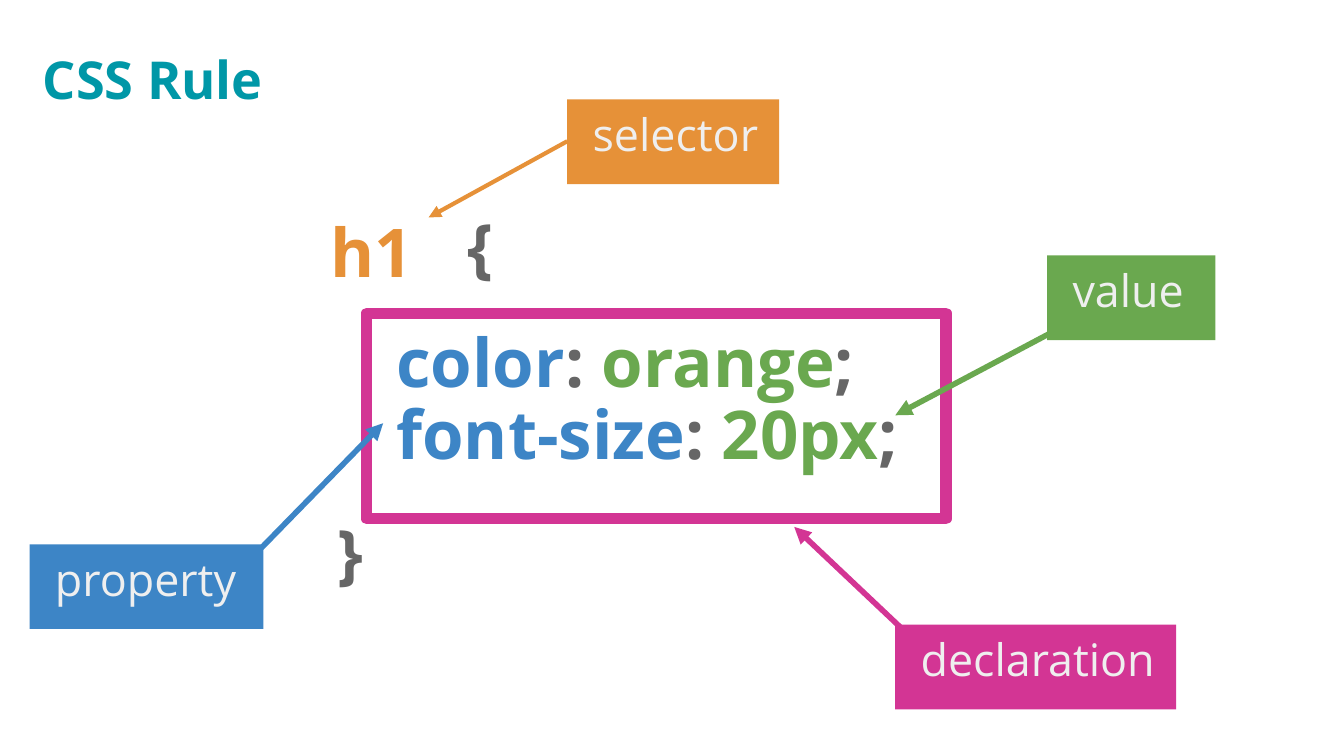
from dataclasses import dataclass

from lxml.etree import SubElement
from pptx import Presentation
from pptx.dml.color import RGBColor
from pptx.enum.shapes import MSO_CONNECTOR, MSO_SHAPE
from pptx.enum.text import MSO_ANCHOR, PP_ALIGN
from pptx.oxml.ns import qn
from pptx.util import Cm, Pt


@dataclass(frozen=True)
class Theme:
    font: str = "Open Sans"
    title: str = "0097A7"
    selector: str = "E69138"
    declaration: str = "D33594"
    property: str = "3D85C6"
    value: str = "6AA84F"
    punctuation: str = "666666"
    label_text: str = "EFEFEF"
    title_size: int = 28
    code_size: int = 36
    brace_size: int = 35
    label_size: int = 24
    line_spacing: float = 0.9
    inset: float = 0.25
    label_indent: float = 0.48


THEME = Theme()


def color(name):
    return RGBColor.from_string(name)


def set_frame(shape, left=THEME.inset, anchor=MSO_ANCHOR.TOP):
    frame = shape.text_frame
    frame.word_wrap = True
    frame.vertical_anchor = anchor
    frame.margin_left = Cm(left)
    frame.margin_right = frame.margin_top = frame.margin_bottom = Cm(THEME.inset)
    return frame


def write(para, spans, size, bold=True):
    """Fill a paragraph with (text, colour) spans."""
    para.alignment = PP_ALIGN.LEFT
    para.line_spacing = THEME.line_spacing
    para.font.name = THEME.font
    para.font.size = Pt(size)
    para.font.bold = bold
    for text, tint in spans:
        span = para.add_run()
        span.text = text
        span.font.color.rgb = color(tint)


def add_title(page, text, area):
    title = page.shapes.title
    title.left, title.top, title.width, title.height = map(Cm, area)
    frame = set_frame(title, anchor=MSO_ANCHOR.MIDDLE)
    write(frame.paragraphs[0], [(text, THEME.title)], THEME.title_size)


def add_code(page, area, lines, size=THEME.code_size):
    frame = set_frame(page.shapes.add_textbox(*map(Cm, area)))
    for index, spans in enumerate(lines):
        para = frame.add_paragraph() if index else frame.paragraphs[0]
        write(para, spans, size)


def add_rectangle(page, area):
    box = page.shapes.add_shape(MSO_SHAPE.RECTANGLE, *map(Cm, area))
    box.shadow.inherit = False
    return box


def add_declaration_frame(page, area):
    box = add_rectangle(page, area)
    box.fill.background()
    box.line.color.rgb = color(THEME.declaration)
    box.line.width = Pt(6)
    SubElement(box.line._get_or_add_ln(), qn("a:round"))


def add_arrow(page, start, end, tint, width):
    arrow = page.shapes.add_connector(
        MSO_CONNECTOR.STRAIGHT, *map(Cm, (*start, *end)))
    arrow.line.color.rgb = color(tint)
    arrow.line.width = Pt(width)
    SubElement(arrow.line._get_or_add_ln(), qn("a:tailEnd"), type="triangle")
    SubElement(arrow._element.spPr, qn("a:effectLst"))


def add_label(page, text, area, tint):
    box = add_rectangle(page, area)
    box.fill.solid()
    box.fill.fore_color.rgb = color(tint)
    box.line.fill.background()
    frame = set_frame(box, left=THEME.label_indent)
    frame.margin_right = 0
    write(frame.paragraphs[0], [(text, THEME.label_text)],
          THEME.label_size, bold=False)


def declaration(name, value):
    return [(name, THEME.property), (": ", THEME.punctuation),
            (value, THEME.value), (";", THEME.punctuation)]


def main():
    deck = Presentation()
    deck.slide_width, deck.slide_height = Cm(25.4), Cm(14.29)
    page = deck.slides.add_slide(deck.slide_layouts.get_by_name("Title Only"))

    add_declaration_frame(page, (6.93, 5.92, 10.95, 3.89))
    add_title(page, "CSS Rule", (0.56, 0.38, 6.22, 2.36))

    add_code(page, (5.99, 3.89, 2.59, 2.08), [[("h1", THEME.selector)]])
    for brace, area in (("{", (8.59, 3.81, 1.5, 2.08)),
                        ("}", (6.12, 9.6, 1.32, 2.24))):
        add_code(page, area, [[(brace, THEME.punctuation)]], THEME.brace_size)
    add_code(page, (7.24, 5.97, 10.13, 3.23),
             [declaration("color", "orange"), declaration("font-size", "20px")])

    label_height = 1.6
    callouts = (
        ("selector", THEME.selector, (10.72, 1.88, 5.79 * 2.54 - 10.72 + 0.02),
         (10.72, 2.67), (8.1, 4.11), 2.25),
        ("declaration", THEME.declaration, (16.92, 11.81, 5.31),
         (17.37, 12.19), (15.01, 9.96), 3),
        ("property", THEME.property, (0.56, 10.29, 4.42),
         (4.78, 10.52), (7.24, 8), 3),
        ("value", THEME.value, (19.79, 4.83, 3.18),
         (20.09, 6.17), (16.92, 7.85), 3),
    )
    for text, tint, place, start, end, width in callouts:
        add_arrow(page, start, end, tint, width)
        add_label(page, text, (*place, label_height), tint)

    deck.save("out.pptx")


if __name__ == "__main__":
    main()
